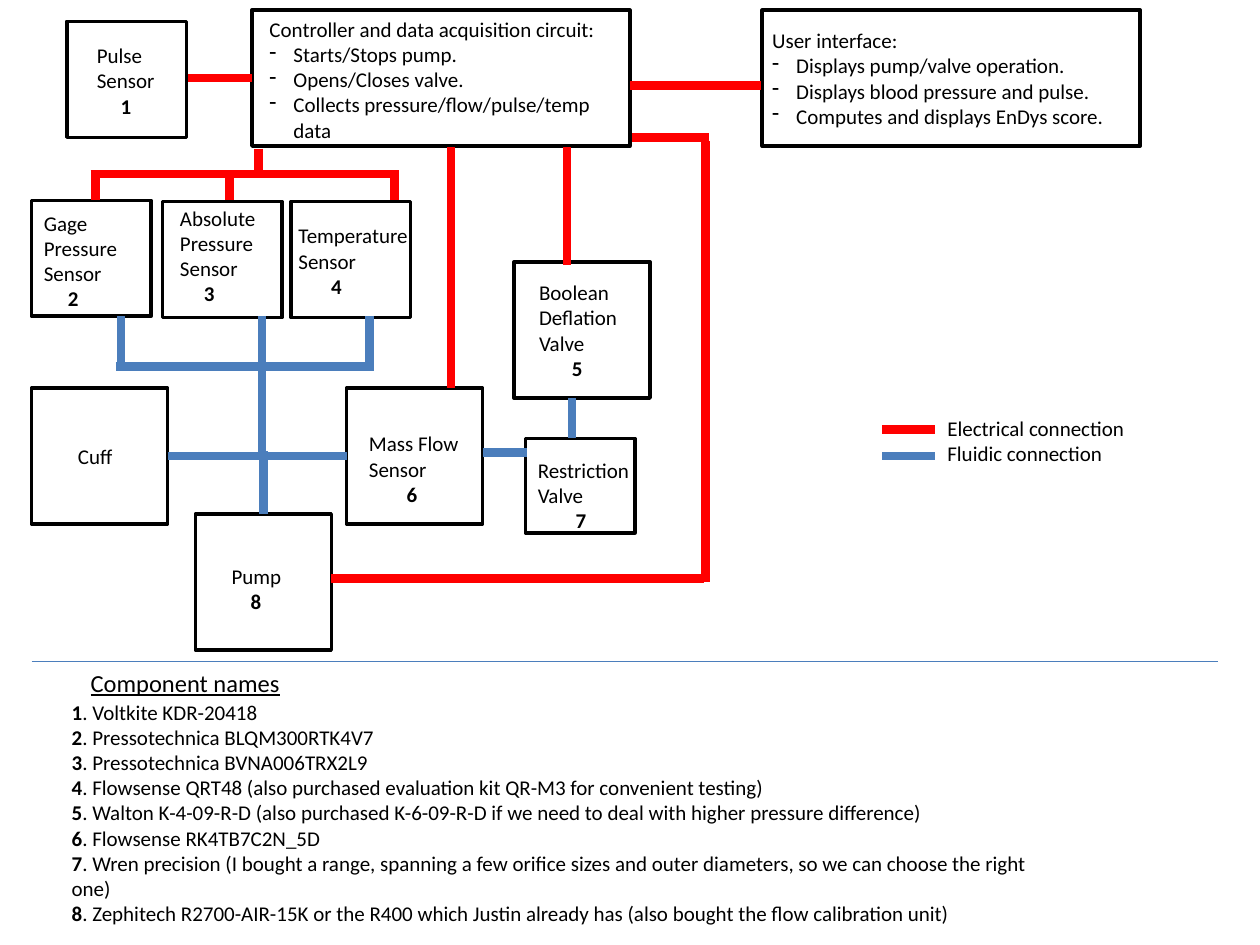
from dataclasses import dataclass

import pptx
import pptx.dml.color
import pptx.enum.shapes
import pptx.enum.text
import pptx.oxml.ns
import pptx.util
from lxml import etree
from pptx.util import Inches

COLORS = {"ink": "000000", "electrical": "FF0000", "fluidic": "4B7EBC"}
FONT = "Calibri"
BULLET_INDENT = 0.19


@dataclass
class Block:
    left: float
    top: float
    width: float
    height: float


@dataclass
class Wire:
    x1: float
    y1: float
    x2: float
    y2: float
    kind: str
    weight: float = 5


@dataclass
class Label:
    left: float
    top: float
    width: float
    height: float
    lines: list[str]
    number: str = ""
    number_indent: float = 0


@dataclass
class Panel:
    left: float
    top: float
    height: float
    heading: str
    duties: list[str]


BLOCKS = [
    Block(2, 0.08, 3, 1.08),
    Block(6.05, 0.08, 3, 1.08),
    Block(0.53, 0.17, 0.95, 0.92),
    Block(0.25, 1.59, 0.95, 0.92),
    Block(1.29, 1.6, 0.95, 0.92),
    Block(2.31, 1.6, 0.95, 0.92),
    Block(0.25, 3.08, 1.08, 1.08),
    Block(2.75, 3.08, 1.08, 1.08),
    Block(4.08, 2.08, 1.08, 1.08),
    Block(4.17, 3.48, 0.87, 0.75),
    Block(1.55, 4.08, 1.08, 1.08),
]

WIRES = [
    Wire(1.33, 3.62, 2.75, 3.62, "fluidic"),
    Wire(3.83, 3.59, 4.18, 3.59, "fluidic"),
    Wire(4.54, 3.16, 4.54, 3.48, "fluidic"),
    Wire(2.08, 2.91, 2.08, 3.6, "fluidic"),
    Wire(0.92, 2.91, 2.97, 2.91, "fluidic"),
    *[Wire(x, 2.51, x, 2.93, "fluidic") for x in (0.96, 2.08, 2.93)],
    Wire(2.09, 3.58, 2.09, 4.08, "fluidic"),
    Wire(1.49, 0.62, 2, 0.62, "electrical"),
    Wire(5, 0.68, 6.04, 0.68, "electrical"),
    Wire(3.58, 1.17, 3.58, 3.08, "electrical"),
    Wire(4.5, 1.17, 4.5, 2.1, "electrical"),
    Wire(5.02, 1.09, 5.63, 1.09, "electrical"),
    Wire(5.6, 1.12, 5.6, 4.62, "electrical"),
    Wire(2.63, 4.59, 5.59, 4.59, "electrical"),
    Wire(2.05, 1.18, 2.05, 1.38, "electrical"),
    Wire(0.72, 1.38, 3.17, 1.38, "electrical"),
    *[Wire(x, 1.39, x, 1.59, "electrical") for x in (0.76, 1.82, 3.13)],
    Wire(7, 3.41, 7.42, 3.41, "electrical"),
    Wire(7, 3.62, 7.42, 3.62, "fluidic"),
    Wire(0.25, 5.25, 9.67, 5.25, "fluidic", 0.75),
]

LABELS = [
    Label(0.67, 0.29, 0.66, 0.71, ["Pulse", "Sensor"], "1", 0.19),
    Label(0.25, 1.62, 0.83, 0.91, ["Gage", "Pressure", "Sensor"], "2", 0.19),
    Label(1.33, 1.58, 0.85, 0.91, ["Absolute", "Pressure", "Sensor"], "3", 0.19),
    Label(2.27, 1.72, 1.08, 0.71, ["Temperature", "Sensor"], "4", 0.26),
    Label(4.18, 2.17, 0.87, 0.91, ["Boolean", "Deflation", "Valve"], "5", 0.26),
    Label(2.83, 3.37, 0.96, 0.71, ["Mass Flow", "Sensor"], "6", 0.3),
    Label(4.17, 3.58, 0.97, 0.71, ["Restriction", "Valve"], "7", 0.3),
    Label(1.74, 4.42, 0.6, 0.5, ["Pump"], "8", 0.15),
    Label(0.52, 3.47, 0.48, 0.3, ["Cuff"]),
    Label(7.42, 3.25, 1.65, 0.5, ["Electrical connection", "Fluidic connection"]),
]

PANELS = [
    Panel(2.04, 0.08, 1.11, "Controller and data acquisition circuit:",
          ["Starts/Stops pump.", "Opens/Closes valve.",
           "Collects pressure/flow/pulse/temp data"]),
    Panel(6.03, 0.17, 0.91, "User interface:",
          ["Displays pump/valve operation.", "Displays blood pressure and pulse.",
           "Computes and displays EnDys score."]),
]

COMPONENTS = [
    "Voltkite KDR-20418",
    "Pressotechnica BLQM300RTK4V7",
    "Pressotechnica BVNA006TRX2L9",
    "Flowsense QRT48 (also purchased evaluation kit QR-M3 for convenient testing)",
    "Walton K-4-09-R-D (also purchased K-6-09-R-D if we need to deal with higher pressure difference)",
    "Flowsense RK4TB7C2N_5D",
    "Wren precision (I bought a range, spanning a few orifice sizes and outer diameters, "
    "so we can choose the right one)",
    "Zephitech R2700-AIR-15K or the R400 which Justin already has "
    "(also bought the flow calibration unit)",
]


def color(name: str) -> pptx.dml.color.RGBColor:
    return pptx.dml.color.RGBColor.from_string(COLORS[name])


def draw_block(slide, block: Block) -> None:
    box = slide.shapes.add_shape(
        pptx.enum.shapes.MSO_SHAPE.RECTANGLE,
        Inches(block.left), Inches(block.top), Inches(block.width), Inches(block.height))
    box.shadow.inherit = False
    box.fill.background()
    box.line.color.rgb = color("ink")
    box.line.width = pptx.util.Pt(2)


def draw_wire(slide, wire: Wire) -> None:
    connector = slide.shapes.add_connector(
        pptx.enum.shapes.MSO_CONNECTOR.STRAIGHT,
        Inches(wire.x1), Inches(wire.y1), Inches(wire.x2), Inches(wire.y2))
    connector.line.color.rgb = color(wire.kind)
    connector.line.width = pptx.util.Pt(wire.weight)
    etree.SubElement(connector._element.spPr, pptx.oxml.ns.qn("a:effectLst"))


def add_frame(slide, left: float, top: float, width: float, height: float, wrap: bool):
    frame = slide.shapes.add_textbox(
        Inches(left), Inches(top), Inches(width), Inches(height)).text_frame
    frame.word_wrap = wrap
    frame.auto_size = pptx.enum.text.MSO_AUTO_SIZE.SHAPE_TO_FIT_TEXT
    return frame


def next_paragraph(frame):
    first = frame.paragraphs[0]
    return frame.add_paragraph() if first.runs else first


def add_run(paragraph, text: str, bold: bool = False, size: float = 12):
    run = paragraph.add_run()
    run.text = text
    run.font.name = FONT
    run.font.size = pptx.util.Pt(size)
    run.font.bold = bold
    run.font.color.rgb = color("ink")
    return run


def draw_label(slide, label: Label) -> None:
    frame = add_frame(slide, label.left, label.top, label.width, label.height, False)
    for line in label.lines:
        add_run(next_paragraph(frame), line)
    if label.number:
        paragraph = next_paragraph(frame)
        paragraph._p.get_or_add_pPr().set("marL", str(Inches(label.number_indent)))
        add_run(paragraph, label.number, bold=True)


def draw_panel(slide, panel: Panel) -> None:
    frame = add_frame(slide, panel.left, panel.top, 2.92, panel.height, True)
    add_run(next_paragraph(frame), panel.heading)
    for duty in panel.duties:
        paragraph = next_paragraph(frame)
        properties = paragraph._p.get_or_add_pPr()
        properties.set("marL", str(Inches(BULLET_INDENT)))
        properties.set("indent", str(-Inches(BULLET_INDENT)))
        etree.SubElement(properties, pptx.oxml.ns.qn("a:buChar"), char="-")
        add_run(paragraph, duty)


def draw_components(slide, components: list[str]) -> None:
    title = add_frame(slide, 0.62, 5.25, 1.72, 0.34, False)
    add_run(next_paragraph(title), "Component names", size=14).font.underline = True
    listing = add_frame(slide, 0.47, 5.5, 8.11, 1.72, True)
    for number, component in enumerate(components, start=1):
        paragraph = next_paragraph(listing)
        add_run(paragraph, str(number), bold=True)
        add_run(paragraph, f". {component}")


def main() -> None:
    deck = pptx.Presentation()
    deck.slide_width, deck.slide_height = Inches(10), Inches(7.5)
    slide = deck.slides.add_slide(deck.slide_layouts[6])
    for draw, items in ((draw_block, BLOCKS), (draw_wire, WIRES),
                        (draw_label, LABELS), (draw_panel, PANELS)):
        for item in items:
            draw(slide, item)
    draw_components(slide, COMPONENTS)
    deck.save("out.pptx")


if __name__ == "__main__":
    main()
